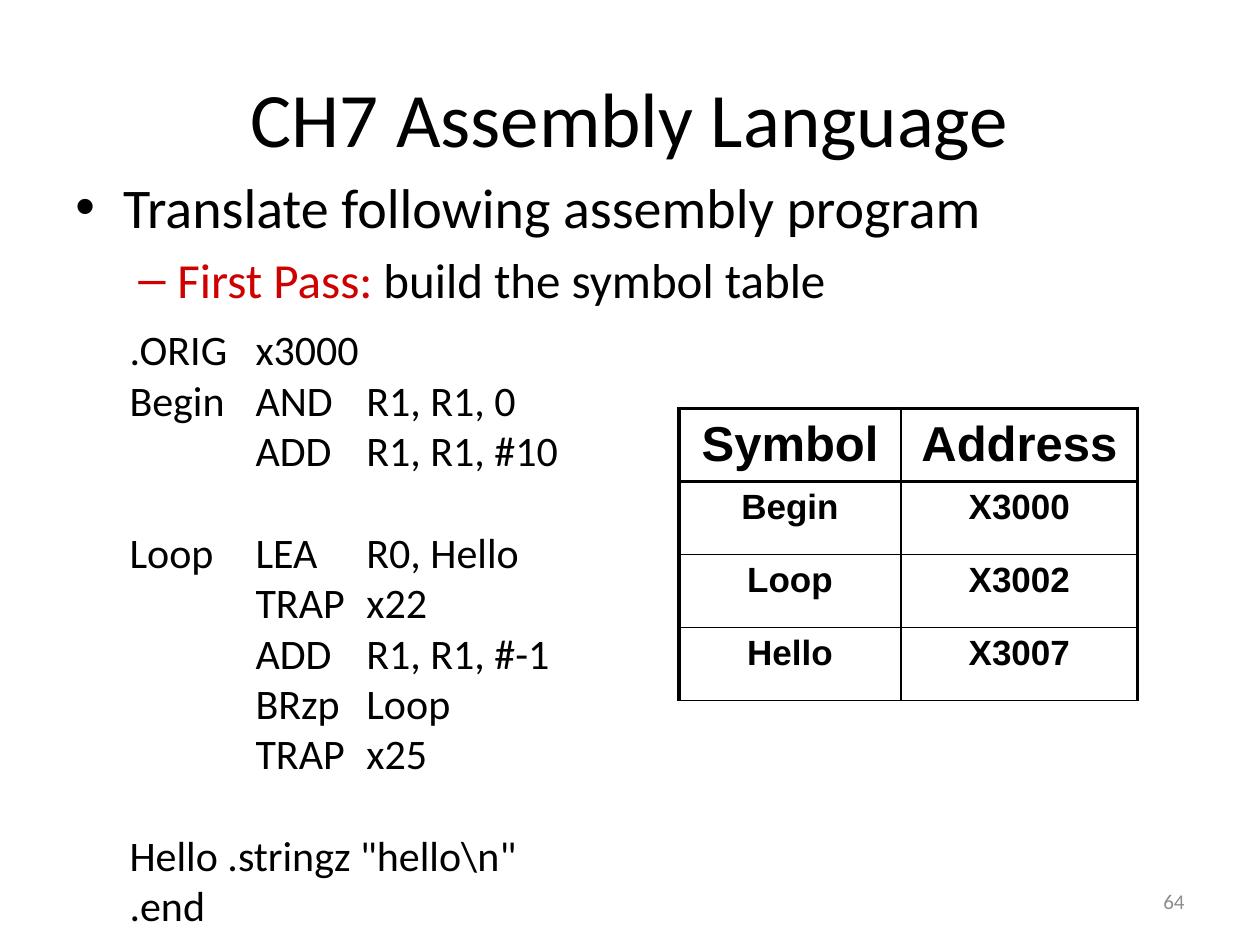
from lxml.etree import SubElement
from pptx import Presentation
from pptx.dml.color import RGBColor
from pptx.enum.text import MSO_ANCHOR as Anchor, PP_ALIGN as Align
from pptx.oxml.ns import qn
from pptx.util import Inches, Pt

BLACK, RED, GRAY = "000000", "CE0000", "8C8C8C"
CODE = [
    (".ORIG\tx3000", 0),
    ("Begin\tAND\tR1, R1, 0", 0),
    ("\tADD\tR1, R1, #10", 0),
    ("Loop\tLEA\tR0, Hello", 29.3),
    ("\tTRAP\tx22", 0),
    ("\tADD\tR1, R1, #-1", 0),
    ("\tBRzp\tLoop", 0),
    ("\tTRAP\tx25", 0),
    ('Hello .stringz "hello\\n"', 29.3),
    (".end", 0),
]
SYMBOLS = [("Symbol", "Address"), ("Begin", "X3000"), ("Loop", "X3002"), ("Hello", "X3007")]
THIN, THICK = 1, 2.25


def color(value):
    return RGBColor.from_string(value)


def add_span(para, text, size, value=BLACK, font="Calibri", bold=False):
    span = para.add_run()
    span.text = text
    span.font.name = font
    span.font.size = Pt(size)
    span.font.bold = bold
    span.font.color.rgb = color(value)


def add_text_frame(page, box):
    frame = page.shapes.add_textbox(*map(Inches, box)).text_frame
    frame.word_wrap = True
    return frame


def next_para(frame, index):
    return frame.paragraphs[0] if index == 0 else frame.add_paragraph()


def set_bullet(para, mark, margin, indent):
    props = para._p.get_or_add_pPr()
    props.set("marL", str(Inches(margin)))
    props.set("indent", str(Inches(indent)))
    SubElement(props, qn("a:buFont"), typeface="Arial")
    SubElement(props, qn("a:buChar"), char=mark)


def set_tabs(para, stops):
    tabs = SubElement(para._p.get_or_add_pPr(), qn("a:tabLst"))
    for stop in stops:
        SubElement(tabs, qn("a:tab"), pos=str(Inches(stop)), algn="l")


def set_border(cell, side, width):
    line = SubElement(cell._tc.get_or_add_tcPr(), qn(f"a:ln{side}"), w=str(Pt(width)))
    SubElement(SubElement(line, qn("a:solidFill")), qn("a:srgbClr"), val=BLACK)


def place_title(page, box):
    title = page.shapes.title
    title.left, title.top, title.width, title.height = map(Inches, box)
    title.text_frame.vertical_anchor = Anchor.MIDDLE
    para = title.text_frame.paragraphs[0]
    para.alignment = Align.CENTER
    add_span(para, "CH7 Assembly Language", 44)


def place_task(page, box):
    frame = add_text_frame(page, box)
    task = next_para(frame, 0)
    set_bullet(task, "•", 0.38, -0.38)
    add_span(task, "Translate following assembly program", 32)
    step = next_para(frame, 1)
    step.level = 1
    set_bullet(step, "–", 0.81, -0.31)
    step.space_before = Pt(5.6)
    add_span(step, "First Pass:", 28, RED)
    add_span(step, " build the symbol table", 28)


def place_code(page, box):
    frame = add_text_frame(page, box)
    for index, (text, gap) in enumerate(CODE):
        para = next_para(frame, index)
        set_tabs(para, (1, 1.88))
        para.space_before = Pt(gap)
        add_span(para, text, 24)


def place_symbol_table(page, box):
    table = page.shapes.add_table(len(SYMBOLS), 2, *map(Inches, box)).table
    table.first_row = table.horz_banding = False
    for column, width in zip(table.columns, (1.76, 1.88)):
        column.width = Inches(width)
    for row, names in enumerate(SYMBOLS):
        header = row == 0
        for column, name in enumerate(names):
            cell = table.cell(row, column)
            set_border(cell, "L", THIN if column else THICK)
            set_border(cell, "R", THICK if column else THIN)
            set_border(cell, "T", THICK if row < 2 else THIN)
            set_border(cell, "B", THICK if header else THIN)
            cell.fill.background()
            cell.vertical_anchor = Anchor.MIDDLE if header else Anchor.TOP
            para = cell.text_frame.paragraphs[0]
            para.alignment = Align.CENTER
            add_span(para, name, 28 if header else 20, font="Arial", bold=True)


def place_page_number(page, box):
    frame = add_text_frame(page, box)
    frame.vertical_anchor = Anchor.MIDDLE
    para = next_para(frame, 0)
    para.alignment = Align.RIGHT
    add_span(para, "64", 12, GRAY)


def main():
    deck = Presentation()
    deck.slide_width, deck.slide_height = Inches(10), Inches(7.5)
    page = deck.slides.add_slide(deck.slide_layouts[5])
    place_title(page, (0.5, 0.3, 9, 1.25))
    place_task(page, (0.5, 1.32, 9, 1.2))
    place_code(page, (0.93, 2.52, 3.63, 4.95))
    place_symbol_table(page, (5.39, 3.24, 3.64, 2.32))
    place_page_number(page, (7.17, 6.95, 2.33, 0.4))
    deck.save("out.pptx")


if __name__ == "__main__":
    main()
